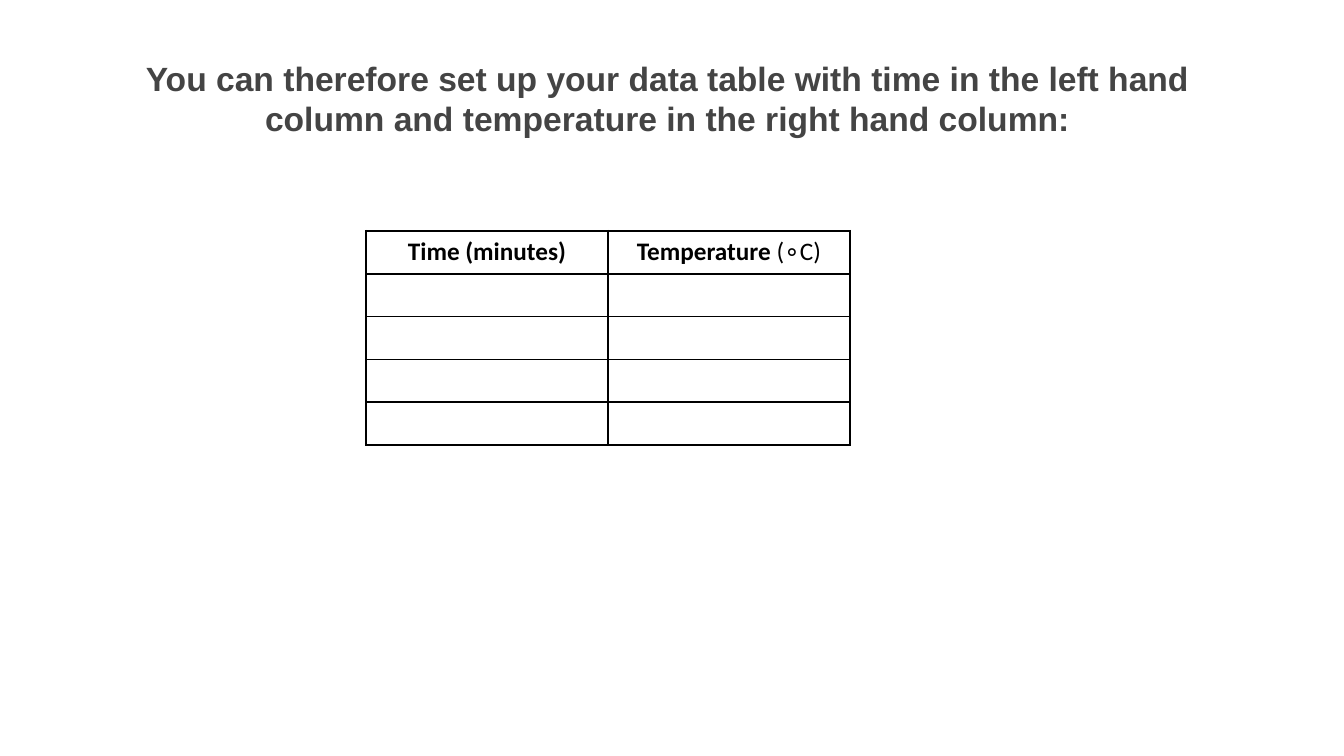
from dataclasses import dataclass

from lxml import etree
from pptx import Presentation
from pptx.dml.color import RGBColor
from pptx.enum.text import MSO_ANCHOR, PP_ALIGN
from pptx.oxml.ns import qn
from pptx.slide import Slide
from pptx.table import _Cell
from pptx.text.text import _Paragraph
from pptx.util import Inches, Pt

CENTER = PP_ALIGN.CENTER
MIDDLE = MSO_ANCHOR.MIDDLE


@dataclass(frozen=True)
class Theme:
    title_font: str = "Arial"
    table_font: str = "Calibri"
    title_size: int = 24
    table_size: int = 18
    title_color: str = "444444"
    ink: str = "000000"
    paper: str = "FFFFFF"
    border: float = 1.5


@dataclass(frozen=True)
class Heading:
    name: str
    unit: str
    unit_bold: bool


THEME = Theme()
TITLE = (
    "You can therefore set up your data table with time in the left hand "
    "column and temperature in the right hand column:"
)
HEADINGS = [
    Heading("Time", " (minutes)", True),
    Heading("Temperature", "\u00a0(∘C)".replace("\u00a0", " "), False),
]
BLANK_ROWS = 4
COLUMN_WIDTH = 2.4
ROW_HEIGHT = 0.425


def style(p: _Paragraph, font: str, size: int, color: str) -> None:
    p.alignment = CENTER
    p.font.name = font
    p.font.size = Pt(size)
    p.font.color.rgb = RGBColor.from_string(color)


def add_title(s: Slide) -> None:
    title = s.shapes.title
    title.left, title.top = Inches(0.71), Inches(0.52)
    title.width, title.height = Inches(11.82), Inches(0.91)
    tf = title.text_frame
    tf.text = TITLE
    tf.word_wrap = True
    tf.vertical_anchor = MIDDLE
    p = tf.paragraphs[0]
    style(p, THEME.title_font, THEME.title_size, THEME.title_color)
    p.font.bold = True


def add_borders(cell: _Cell) -> None:
    tc_pr = cell._tc.get_or_add_tcPr()
    for i, side in enumerate(("lnL", "lnR", "lnT", "lnB")):
        ln = etree.Element(qn(f"a:{side}"), w=str(Pt(THEME.border)))
        fill = etree.SubElement(ln, qn("a:solidFill"))
        etree.SubElement(fill, qn("a:srgbClr"), val=THEME.ink)
        tc_pr.insert(i, ln)


def format_cell(cell: _Cell) -> None:
    cell.margin_left = cell.margin_right = Inches(0.06)
    cell.margin_top = cell.margin_bottom = Inches(0.06)
    cell.vertical_anchor = MIDDLE
    cell.fill.solid()
    cell.fill.fore_color.rgb = RGBColor.from_string(THEME.paper)
    style(cell.text_frame.paragraphs[0], THEME.table_font, THEME.table_size, THEME.ink)
    add_borders(cell)


def add_heading(cell: _Cell, heading: Heading) -> None:
    p = cell.text_frame.paragraphs[0]
    for text, bold in ((heading.name, True), (heading.unit, heading.unit_bold)):
        r = p.add_run()
        r.text = text
        r.font.bold = bold


def add_data_table(s: Slide) -> None:
    rows, cols = BLANK_ROWS + 1, len(HEADINGS)
    table = s.shapes.add_table(
        rows, cols, Inches(3.63), Inches(2.29),
        Inches(COLUMN_WIDTH * cols), Inches(ROW_HEIGHT * rows),
    ).table
    table.horz_banding = False
    table.first_row = False
    for cell in table.iter_cells():
        format_cell(cell)
    for col, heading in enumerate(HEADINGS):
        add_heading(table.cell(0, col), heading)


def main() -> None:
    prs = Presentation()
    prs.slide_width, prs.slide_height = Inches(13.33), Inches(7.5)
    s = prs.slides.add_slide(prs.slide_layouts[5])
    add_title(s)
    add_data_table(s)
    prs.save("out.pptx")


if __name__ == "__main__":
    main()
